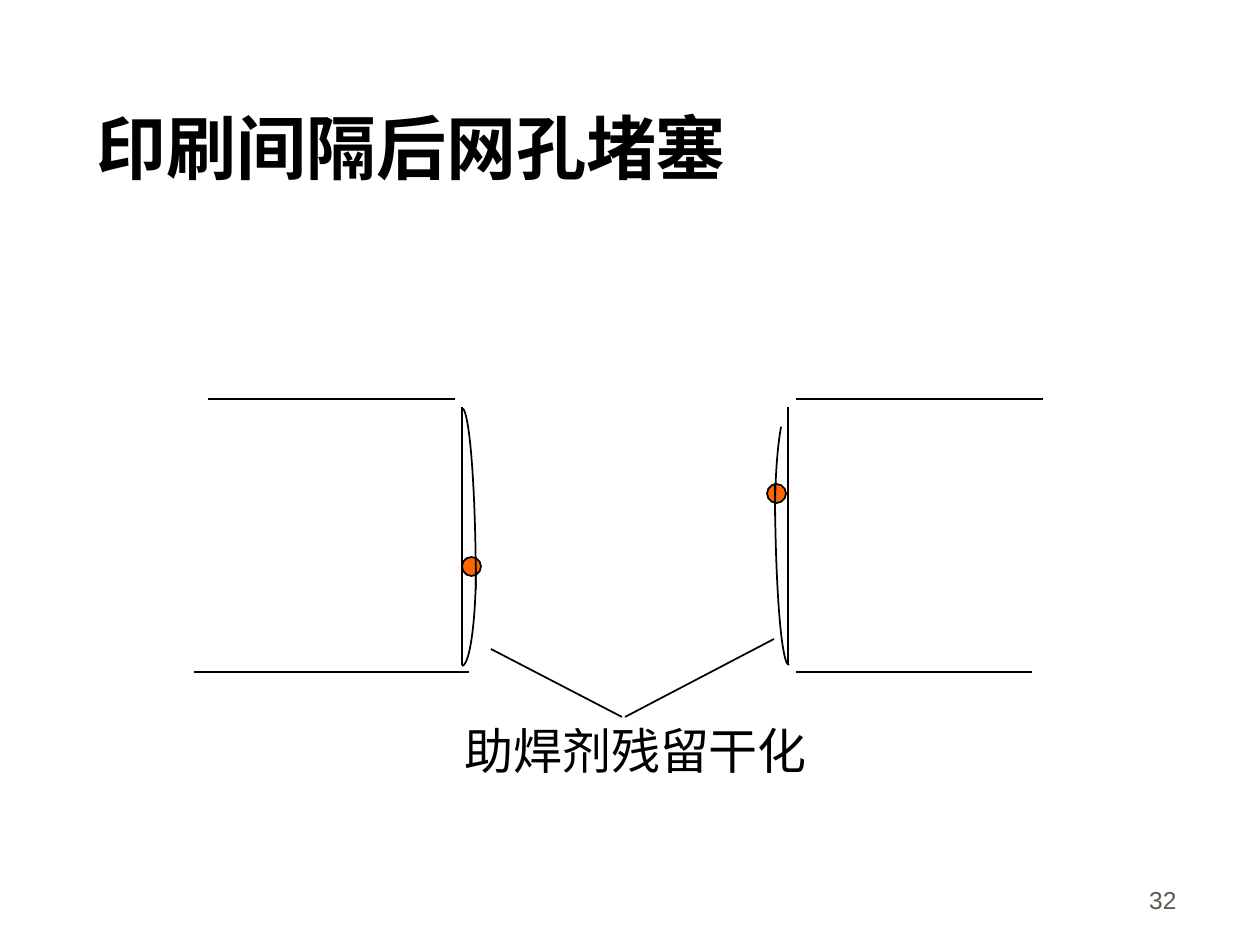
from dataclasses import dataclass
from pptx import Presentation
from pptx import util as u
from pptx.dml.color import RGBColor
from pptx.enum import shapes, text
from pptx.oxml.ns import qn
from lxml import etree

PX = u.Inches(1) / 126


@dataclass(frozen=True)
class Theme:
    ink: RGBColor = RGBColor(0, 0, 0)
    flux: RGBColor = RGBColor(0xFF, 0x66, 0x00)
    number: RGBColor = RGBColor(0x5E, 0x57, 0x4E)
    body_font: str = "Times New Roman"
    number_font: str = "Arial"
    title_size: int = 40
    label_size: int = 28
    number_size: int = 14
    line_width: int = 1


THEME = Theme()

STENCIL_EDGES = [
    (208, 399, 455, 399),
    (796, 399, 1043, 399),
    (462, 407, 462, 665),
    (788, 407, 788, 665),
    (796, 672, 1032, 672),
    (469, 672, 194, 672),
]
SOLDER_BALLS = [(462, 557), (767, 484)]
BALL_SIZE = 19
RESIDUE_ARCS = [
    ((448, 408, 28, 364), 270, 0),
    ((448, 469, 28, 197), 0, 90),
    ((775, 408, 28, 217), 180, 265),
    ((775, 301, 28, 364), 90, 180),
]
LEADERS = [(491, 649, 622, 717), (774, 639, 625, 717)]


def px(*values):
    return [u.Emu(round(v * PX)) for v in values]


def set_line(sp):
    sp.line.color.rgb = THEME.ink
    sp.line.width = u.Pt(THEME.line_width)


def add_line(s, ends):
    sp = s.shapes.add_connector(shapes.MSO_CONNECTOR.STRAIGHT, *px(*ends))
    set_line(sp)
    etree.SubElement(sp._element.spPr, qn("a:effectLst"))


def add_ball(s, left, top):
    sp = s.shapes.add_shape(shapes.MSO_SHAPE.OVAL,
                            *px(left, top, BALL_SIZE, BALL_SIZE))
    sp.shadow.inherit = False
    sp.fill.solid()
    sp.fill.fore_color.rgb = THEME.flux
    set_line(sp)


def add_arc(s, box, start, end):
    sp = s.shapes.add_shape(shapes.MSO_SHAPE.ARC, *px(*box))
    sp.shadow.inherit = False
    sp.fill.background()
    set_line(sp)
    for i, degrees in enumerate((start, end)):
        sp.adjustments[i] = degrees * 0.6


def write(sp, words, size, font=THEME.body_font, color=THEME.ink, bold=False,
          align=text.PP_ALIGN.LEFT, anchor=text.MSO_ANCHOR.TOP,
          wrap=True, fit=text.MSO_AUTO_SIZE.NONE):
    tf = sp.text_frame
    tf.word_wrap = wrap
    tf.auto_size = fit
    tf.vertical_anchor = anchor
    p = tf.paragraphs[0]
    p.text = words
    p.alignment = align
    p.font.name = font
    p.font.size = u.Pt(size)
    p.font.bold = bold
    p.font.color.rgb = color


def add_title(s, box, words):
    sp = s.shapes.title
    sp.left, sp.top, sp.width, sp.height = px(*box)
    write(sp, words, THEME.title_size, bold=True,
          anchor=text.MSO_ANCHOR.MIDDLE)


def main():
    prs = Presentation()
    prs.slide_width, prs.slide_height = px(1260, 945)
    s = prs.slides.add_slide(prs.slide_layouts[5])

    add_title(s, (84, 84, 1166, 126), "印刷间隔后网孔堵塞")
    for ends in STENCIL_EDGES:
        add_line(s, ends)
    for left, top in SOLDER_BALLS:
        add_ball(s, left, top)
    for box, start, end in RESIDUE_ARCS:
        add_arc(s, box, start, end)

    label = s.shapes.add_textbox(*px(452, 714, 368, 71))
    write(label, "助焊剂残留干化", THEME.label_size, wrap=False,
          fit=text.MSO_AUTO_SIZE.SHAPE_TO_FIT_TEXT)
    for ends in LEADERS:
        add_line(s, ends)

    number = s.shapes.add_textbox(*px(927, 858, 262, 63))
    write(number, "32", THEME.number_size, font=THEME.number_font,
          color=THEME.number, align=text.PP_ALIGN.RIGHT,
          anchor=text.MSO_ANCHOR.BOTTOM)

    prs.save("out.pptx")


if __name__ == "__main__":
    main()
